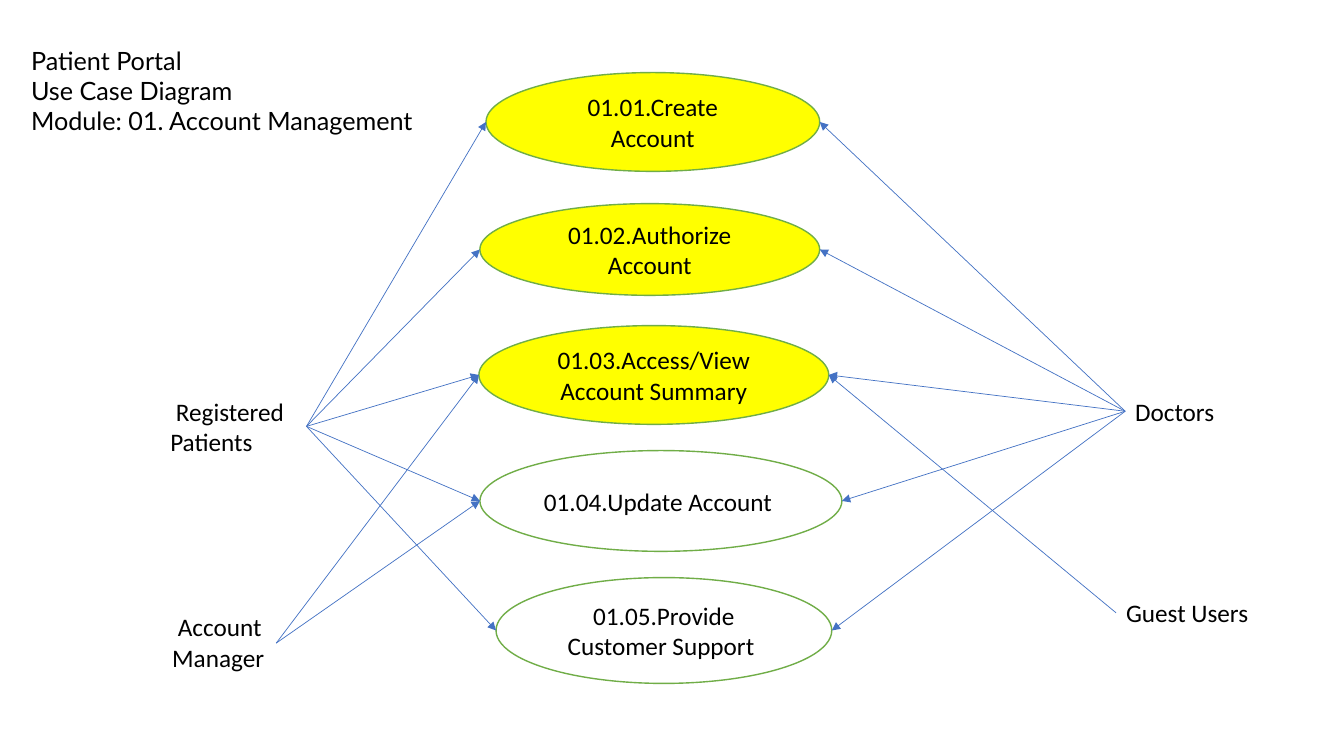
import pptx
import pptx.dml.color
import pptx.enum.shapes
import pptx.enum.text
import pptx.oxml
import pptx.oxml.ns
import pptx.util
from dataclasses import dataclass

Inches = pptx.util.Inches


@dataclass(frozen=True)
class Theme:
    text: str = "000000"
    done: str = "FFFF00"
    planned: str = "FFFFFF"
    outline: str = "70AD47"
    arrow: str = "4472C4"
    body_font: str = "Calibri"
    title_font: str = "Lato"
    text_size: float = 18
    outline_width: float = 1
    arrow_width: float = 0.5


class UseCaseDiagram:
    def __init__(self, slide, theme):
        self.slide = slide
        self.theme = theme

    def color(self, value):
        return pptx.dml.color.RGBColor.from_string(value)

    def set_text(self, shape, text, font_name, alignment):
        frame = shape.text_frame
        frame.word_wrap = True
        frame.text = text
        for paragraph in frame.paragraphs:
            paragraph.alignment = alignment
            for run in paragraph.runs:
                run.font.name = font_name
                run.font.size = pptx.util.Pt(self.theme.text_size)
                run.font.color.rgb = self.color(self.theme.text)

    def label(self, text, left, top, width, height, font_name=None):
        box = self.slide.shapes.add_textbox(
            Inches(left), Inches(top), Inches(width), Inches(height))
        self.set_text(box, text, font_name or self.theme.body_font,
                      pptx.enum.text.PP_ALIGN.LEFT)

    def use_case(self, text, left, top, width, height, fill):
        oval = self.slide.shapes.add_shape(
            pptx.enum.shapes.MSO_SHAPE.OVAL,
            Inches(left), Inches(top), Inches(width), Inches(height))
        oval.shadow.inherit = False
        oval.fill.solid()
        oval.fill.fore_color.rgb = self.color(fill)
        oval.line.color.rgb = self.color(self.theme.outline)
        oval.line.width = pptx.util.Pt(self.theme.outline_width)
        oval.text_frame.vertical_anchor = pptx.enum.text.MSO_ANCHOR.MIDDLE
        self.set_text(oval, text, self.theme.body_font,
                      pptx.enum.text.PP_ALIGN.CENTER)
        return oval

    def arrow(self, start_x, start_y, oval):
        """Point from an actor to the nearer side of a use case."""
        start = Inches(start_x)
        end = oval.left if start < oval.left else oval.left + oval.width
        connector = self.slide.shapes.add_connector(
            pptx.enum.shapes.MSO_CONNECTOR.STRAIGHT,
            start, Inches(start_y), end, oval.top + oval.height // 2)
        connector.line.color.rgb = self.color(self.theme.arrow)
        connector.line.width = pptx.util.Pt(self.theme.arrow_width)
        namespace = pptx.oxml.ns.nsdecls("a")
        properties = connector._element.spPr
        properties.find(pptx.oxml.ns.qn("a:ln")).append(
            pptx.oxml.parse_xml(f'<a:tailEnd {namespace} type="triangle"/>'))
        properties.append(pptx.oxml.parse_xml(f"<a:effectLst {namespace}/>"))


def main():
    presentation = pptx.Presentation()
    presentation.slide_width = Inches(13.33)
    presentation.slide_height = Inches(7.5)
    theme = Theme()
    slide = presentation.slides.add_slide(presentation.slide_layouts[6])
    diagram = UseCaseDiagram(slide, theme)

    # Title
    diagram.label(
        "Patient Portal\nUse Case Diagram\nModule: 01. Account Management",
        0.21, 0.4, 6.66, 1.01, theme.title_font)

    # Use cases: text, left, top, width, height, fill
    use_cases = [
        ("01.01.Create Account", 4.82, 0.72, 3.31, 0.98, theme.done),
        ("01.02.Authorize Account", 4.76, 2.02, 3.37, 0.91, theme.done),
        ("01.03.Access/View Account Summary",
         4.75, 3.23, 3.47, 0.98, theme.done),
        ("01.04.Update Account ", 4.76, 4.47, 3.59, 1, theme.planned),
        ("01.05.Provide Customer Support ",
         4.92, 5.73, 3.33, 1.05, theme.planned),
    ]
    ovals = [diagram.use_case(*use_case) for use_case in use_cases]

    # Actors: name, label box, arrow start, use cases reached
    actors = [
        (" Registered Patients", (1.59, 3.88, 1.45, 0.71), (3.04, 4.23), ovals),
        ("Doctors", (11.16, 3.88, 1.45, 0.4), (11.16, 4.08), ovals),
        (" Account Manager", (1.61, 6.02, 1.13, 0.71), (2.74, 6.38),
         ovals[2:4]),
        ("Guest Users", (11.07, 5.88, 1.45, 0.4), (11.07, 6.08), ovals[2:3]),
    ]
    for name, box, start, targets in actors:
        diagram.label(name, *box)
        for oval in targets:
            diagram.arrow(*start, oval)

    presentation.save("out.pptx")


if __name__ == "__main__":
    main()
